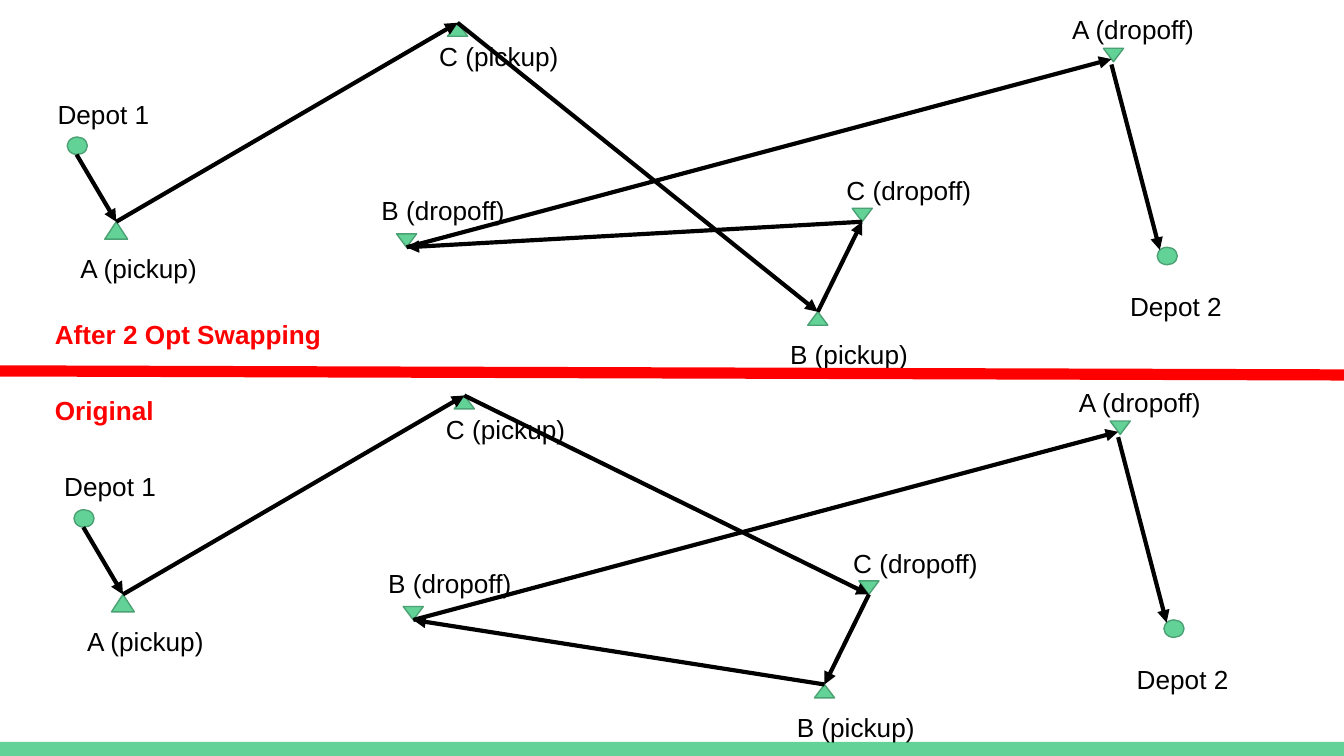
import dataclasses
import itertools
import lxml.etree
import pptx
import pptx.dml.color
import pptx.enum.shapes
import pptx.oxml.ns
import pptx.util

SHAPES = pptx.enum.shapes.MSO_SHAPE
STRAIGHT = pptx.enum.shapes.MSO_CONNECTOR.STRAIGHT
COLUMNS, ROWS = 100, 56.25
WIDTH = pptx.util.Inches(10)
HEIGHT = pptx.util.Emu(WIDTH * 9 // 16)


@dataclasses.dataclass(frozen=True)
class Theme:
    green: str = "63D297"
    outline: str = "4BA173"
    ink: str = "000000"
    accent: str = "FF0000"
    font: str = "Arial"
    text_size: float = 14
    outline_width: float = 0.75
    arrow_width: float = 2.25
    divider_width: float = 6


@dataclasses.dataclass(frozen=True)
class Stop:
    label: str
    kind: str
    marker: tuple
    label_box: tuple


THEME = Theme()
KINDS = {
    "pickup": SHAPES.FLOWCHART_EXTRACT,
    "dropoff": SHAPES.FLOWCHART_MERGE,
    "depot": SHAPES.FLOWCHART_CONNECTOR,
}
JOINT_SITES = {"pickup": 0, "dropoff": 2}

STOPS = [
    Stop("C (pickup)", "pickup", (33.3, 1.7, 1.5, 1), (31.7, 2, 16.3, 3.6)),
    Stop("B (dropoff)", "dropoff", (29.5, 17.4, 1.5, 1), (27.4, 13.5, 13.3, 3.6)),
    Stop("Depot 1", "depot", (5, 10.2, 1.5, 1.3), (3.3, 6.3, 12.3, 4.7)),
    Stop("Depot 2", "depot", (86.1, 18.4, 1.5, 1.3), (83.1, 20.6, 10.6, 3.6)),
    Stop("C (dropoff)", "dropoff", (63.4, 15.5, 1.5, 1), (62, 12, 12.7, 3.6)),
    Stop("A (dropoff)", "dropoff", (82.1, 3.6, 1.5, 1), (78.8, 0, 12.7, 3.6)),
    Stop("A (pickup)", "pickup", (7.8, 16.5, 1.7, 1.3), (5, 17.8, 10.9, 4.7)),
    Stop("B (pickup)", "pickup", (60.1, 23.2, 1.5, 1), (57.8, 24.2, 10.9, 3.6)),
]
FREE_ARRIVALS = {"A (dropoff)": (82.7, 4.4), "Depot 2": (86.3, 18.6)}
FREE_DEPARTURES = {"Depot 1": (5.7, 11.5), "A (dropoff)": (82.7, 4.8)}

ROUTE_START = ["Depot 1", "A (pickup)", "C (pickup)"]
ROUTE_END = ["B (dropoff)", "A (dropoff)", "Depot 2"]
SWAPPED_ROUTE = ROUTE_START + ["B (pickup)", "C (dropoff)"] + ROUTE_END
ORIGINAL_ROUTE = ROUTE_START + ["C (dropoff)", "B (pickup)"] + ROUTE_END


def color(value):
    return pptx.dml.color.RGBColor.from_string(value)


def place(column, row):
    return round(WIDTH * column / COLUMNS), round(HEIGHT * row / ROWS)


def place_box(box):
    return place(*box[:2]) + place(*box[2:])


def shift(position, offset):
    return (position[0] + offset[0], position[1] + offset[1], *position[2:])


def add_filled_shape(slide, kind, box):
    shape = slide.shapes.add_shape(kind, *place_box(box))
    shape.shadow.inherit = False
    shape.fill.solid()
    shape.fill.fore_color.rgb = color(THEME.green)
    return shape


def add_band(slide, box):
    add_filled_shape(slide, SHAPES.RECTANGLE, box).line.fill.background()


def add_marker(slide, kind, box):
    marker = add_filled_shape(slide, KINDS[kind], box)
    marker.line.color.rgb = color(THEME.outline)
    marker.line.width = pptx.util.Pt(THEME.outline_width)
    return marker


def add_text(slide, text, box, ink=THEME.ink, bold=False):
    frame = slide.shapes.add_textbox(*place_box(box)).text_frame
    frame.word_wrap = True
    inset = pptx.util.Inches(0.1)
    frame.margin_left = frame.margin_right = inset
    frame.margin_top = frame.margin_bottom = inset
    run = frame.paragraphs[0].add_run()
    run.text = text
    run.font.name = THEME.font
    run.font.size = pptx.util.Pt(THEME.text_size)
    run.font.bold = bold
    run.font.color.rgb = color(ink)


def add_line(slide, start, end, ink, width):
    connector = slide.shapes.add_connector(STRAIGHT, *place(*start), *place(*end))
    connector.line.color.rgb = color(ink)
    connector.line.width = pptx.util.Pt(width)
    properties = connector._element.spPr
    lxml.etree.SubElement(properties, pptx.oxml.ns.qn("a:effectLst"))
    return connector


def add_arrow(slide, origin, target, markers, offset):
    start = shift(FREE_DEPARTURES.get(origin, (0, 0)), offset)
    end = shift(FREE_ARRIVALS.get(target, (0, 0)), offset)
    arrow = add_line(slide, start, end, THEME.ink, THEME.arrow_width)
    outline = arrow.line._get_or_add_ln()
    lxml.etree.SubElement(outline, pptx.oxml.ns.qn("a:tailEnd"), type="triangle")
    if origin not in FREE_DEPARTURES:
        arrow.begin_connect(*markers[origin])
    if target not in FREE_ARRIVALS:
        arrow.end_connect(*markers[target])


def add_route_map(slide, route, offset):
    markers = {}
    for stop in STOPS:
        marker = add_marker(slide, stop.kind, shift(stop.marker, offset))
        markers[stop.label] = (marker, JOINT_SITES.get(stop.kind))
    for stop in STOPS:
        add_text(slide, stop.label, shift(stop.label_box, offset))
    for origin, target in itertools.pairwise(route):
        add_arrow(slide, origin, target, markers, offset)


def main():
    presentation = pptx.Presentation()
    presentation.slide_width, presentation.slide_height = WIDTH, HEIGHT
    slide = presentation.slides.add_slide(presentation.slide_layouts[6])
    add_band(slide, (0, 55.2, COLUMNS, 1.05))
    add_route_map(slide, SWAPPED_ROUTE, (0, 0))
    add_route_map(slide, ORIGINAL_ROUTE, (0.5, 27.73))
    add_line(slide, (0, 27.6), (COLUMNS, 27.9), THEME.accent, THEME.divider_width)
    for title, row in [("Original", 28.33), ("After 2 Opt Swapping", 22.73)]:
        add_text(slide, title, (3.1, row, 57.7, 6.7), THEME.accent, bold=True)
    presentation.save("out.pptx")


if __name__ == "__main__":
    main()
